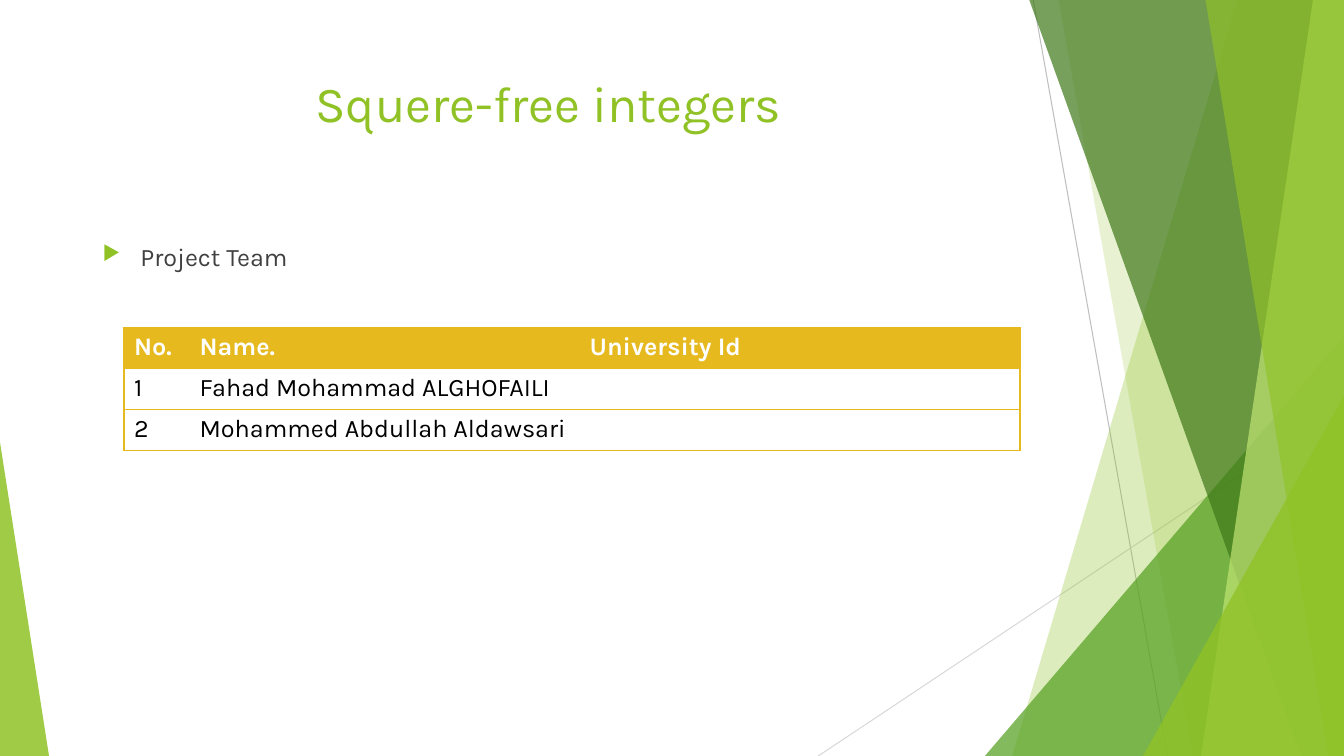
"""Build the project team slide with its faceted green frame."""
from dataclasses import dataclass

from lxml.etree import SubElement
from pptx import Presentation
from pptx.dml.color import RGBColor
from pptx.enum.shapes import MSO_CONNECTOR, MSO_SHAPE
from pptx.enum.text import PP_ALIGN
from pptx.oxml.ns import qn
from pptx.util import Pt

WIDTH, HEIGHT, TOP = 960, 540, -0.72
FONT = "Karla"
GREEN, GOLD, WHITE, BLACK, GREY = "90C226", "E6B91E", "FFFFFF", "000000", "404040"
NO_STYLE = "{2D5ABB26-0587-4C30-8999-92F81FD0307C}"


@dataclass
class Ray:
    """A thin line crossing the frame."""
    start: tuple
    end: tuple
    color: str


@dataclass
class Band:
    """A full-height facet that ends at the right edge."""
    top_left: float
    bottom_left: float
    color: str
    opacity: int


@dataclass
class Wedge:
    """A right triangle standing on the bottom edge."""
    left: float
    top: float
    width: float
    apex: float
    color: str
    opacity: int


RAYS = [
    Ray((738, 0), (834, HEIGHT), "BFBFBF"),
    Ray((WIDTH, 290), (584.5, HEIGHT), "D9D9D9"),
]
FACETS = [
    Band(884, 723, GREEN, 30),
    Band(756, 852, GREEN, 20),
    Wedge(703.5, 240, 256.5, 1, "54A021", 72),
    Band(735, 929.5, "3F7819", 70),
    Band(938, 858, "C0E474", 70),
    Band(861, 949, GREEN, 65),
    Wedge(816.5, 283, 143.5, 1, GREEN, 80),
    Wedge(0, 316, 35, 0, GREEN, 85),
]
COLUMNS = [46.8, 278.6, 314.6]
ROW_HEIGHT = 29.3
TEAM = [
    ["No.", "Name.", "University Id"],
    ["1", "Fahad Mohammad ALGHOFAILI", ""],
    ["2", "Mohammed Abdullah Aldawsari", ""],
]


def paint(target, color: str) -> None:
    """Give a fill or font colour format its colour."""
    target.rgb = RGBColor.from_string(color)


def write(frame, text: str, *, size: float = 18, color: str = BLACK,
          bold: bool = False, align=PP_ALIGN.LEFT):
    """Write one formatted paragraph and return it."""
    frame.word_wrap = True
    para = frame.paragraphs[0]
    para.alignment = align
    span = para.add_run()
    span.text = text
    span.font.name, span.font.size, span.font.bold = FONT, Pt(size), bold
    paint(span.font.color, color)
    return para


def add_text(page, left: float, top: float, width: float, height: float,
             text: str, **style):
    """Add a text box and return its paragraph."""
    box = page.shapes.add_textbox(Pt(left), Pt(top), Pt(width), Pt(height))
    return write(box.text_frame, text, **style)


def add_bullet(para, indent: float) -> None:
    """Give a paragraph a green triangular bullet and hanging indent."""
    props = para._p.get_or_add_pPr()
    props.set("marL", str(Pt(indent)))
    props.set("indent", str(-Pt(indent)))
    tint = SubElement(props, qn("a:buClr"))
    SubElement(tint, qn("a:srgbClr"), val=GREEN)
    SubElement(props, qn("a:buSzPct"), val="80000")
    SubElement(props, qn("a:buChar"), char="\u25b6")


def add_ray(page, ray: Ray) -> None:
    """Draw a thin line without shadow."""
    line = page.shapes.add_connector(
        MSO_CONNECTOR.STRAIGHT, *map(Pt, ray.start + ray.end))
    line.line.width = Pt(0.75)
    paint(line.line.color, ray.color)
    SubElement(line._element.spPr, qn("a:effectLst"))


def add_facet(page, facet: Band | Wedge) -> None:
    """Draw a translucent band or wedge."""
    if isinstance(facet, Band):
        corners = [(facet.top_left, TOP), (WIDTH, TOP),
                   (WIDTH, HEIGHT), (facet.bottom_left, HEIGHT)]
        first, *rest = [(Pt(x), Pt(y)) for x, y in corners]
        builder = page.shapes.build_freeform(*first)
        builder.add_line_segments(rest, close=True)
        shape = builder.convert_to_shape()
    else:
        shape = page.shapes.add_shape(
            MSO_SHAPE.ISOSCELES_TRIANGLE, Pt(facet.left), Pt(facet.top),
            Pt(facet.width), Pt(HEIGHT - facet.top))
        shape.adjustments[0] = facet.apex
    shape.shadow.inherit = False
    shape.line.fill.background()
    shape.fill.solid()
    paint(shape.fill.fore_color, facet.color)
    tint = shape._element.spPr.find(qn("a:solidFill")).find(qn("a:srgbClr"))
    SubElement(tint, qn("a:alpha"), val=str(facet.opacity * 1000))


def add_borders(cell, sides: list[str]) -> None:
    """Rule the given sides of a cell in gold."""
    props = cell._tc.get_or_add_tcPr()
    for side in sides:
        line = SubElement(props, qn(f"a:ln{side}"), w=str(Pt(1)))
        fill = SubElement(line, qn("a:solidFill"))
        SubElement(fill, qn("a:srgbClr"), val=GOLD)


def add_team_table(page, left: float, top: float) -> None:
    """Add the team table with a gold header and gold rules."""
    frame = page.shapes.add_table(
        len(TEAM), len(COLUMNS), Pt(left), Pt(top),
        Pt(sum(COLUMNS)), Pt(ROW_HEIGHT * len(TEAM)))
    table = frame.table
    table._tbl.tblPr.find(qn("a:tableStyleId")).text = NO_STYLE
    for column, width in zip(table.columns, COLUMNS):
        column.width = Pt(width)
    for row, texts in enumerate(TEAM):
        table.rows[row].height = Pt(ROW_HEIGHT)
        header = row == 0
        for column, text in enumerate(texts):
            cell = table.cell(row, column)
            sides = ["L"] * (column == 0) + ["R"] * (column == len(COLUMNS) - 1)
            add_borders(cell, sides + ["T", "B"])
            if header:
                cell.fill.solid()
                paint(cell.fill.fore_color, GOLD)
            else:
                cell.fill.background()
            if text:
                write(cell.text_frame, text, bold=header,
                      color=WHITE if header else BLACK)


def main() -> None:
    """Build and save the slide."""
    deck = Presentation()
    deck.slide_width, deck.slide_height = Pt(WIDTH), Pt(HEIGHT)
    page = deck.slides.add_slide(deck.slide_layouts[6])
    for ray in RAYS:
        add_ray(page, ray)
    for facet in FACETS:
        add_facet(page, facet)
    add_text(page, 53.3, 48, 677, 104, "Squere-free integers",
             size=36, color=GREEN, align=PP_ALIGN.CENTER)
    para = add_text(page, 66.2, 168.5, 828, 343, "Project Team", color=GREY)
    para.space_before = Pt(10)
    add_bullet(para, 27)
    add_team_table(page, 88.6, 234)
    deck.save("out.pptx")


main()
